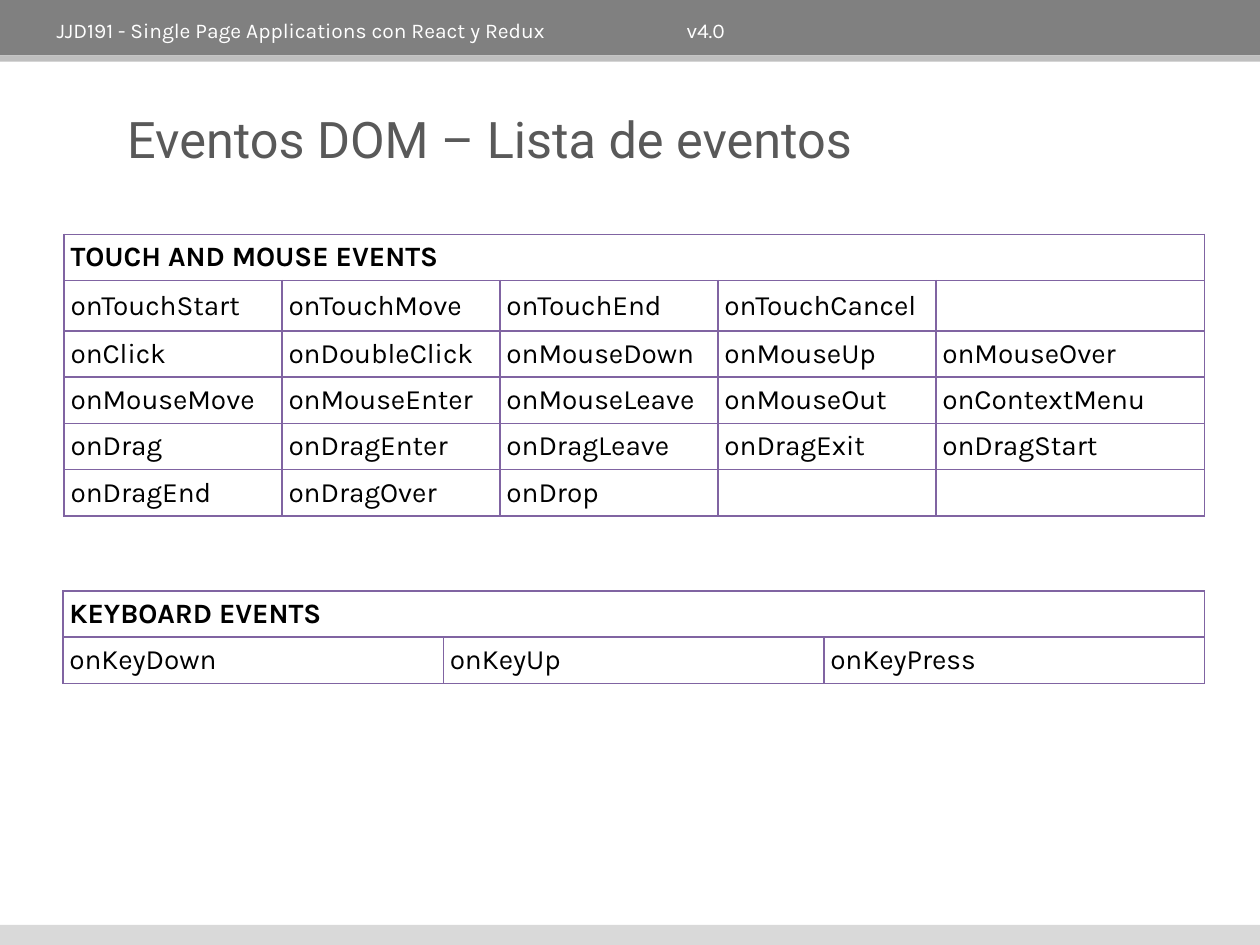
"""Builds the slide that lists the DOM events."""
import pptx
import pptx.util
import pptx.dml.color
import pptx.enum.shapes
import pptx.enum.text
import pptx.oxml
import pptx.oxml.ns

Inches = pptx.util.Inches
Anchor = pptx.enum.text.MSO_ANCHOR


def colour(value):
    return pptx.dml.color.RGBColor.from_string(value)


def write(frame, text, size=16, font="Karla", ink="000000", bold=False, anchor=Anchor.MIDDLE):
    frame.word_wrap = True
    frame.vertical_anchor = anchor
    paragraph = frame.paragraphs[0]
    paragraph.alignment = pptx.enum.text.PP_ALIGN.LEFT
    run = paragraph.add_run()
    run.text = text
    run.font.size = pptx.util.Pt(size)
    run.font.name = font
    run.font.bold = bold
    run.font.color.rgb = colour(ink)


deck = pptx.Presentation()
deck.slide_width, deck.slide_height = Inches(10), Inches(7.5)
slide = deck.slides.add_slide(deck.slide_layouts[5])

for top, height, shade in [(0, 0.44, "808080"), (0.44, 0.05, "BFBFBF"), (7.34, 0.16, "D9D9D9")]:
    band = slide.shapes.add_shape(
        pptx.enum.shapes.MSO_SHAPE.RECTANGLE, 0, Inches(top), deck.slide_width, Inches(height))
    band.shadow.inherit = False
    band.fill.solid()
    band.fill.fore_color.rgb = colour(shade)
    band.line.fill.background()

course = slide.shapes.add_textbox(Inches(0.35), Inches(0.09), Inches(8.45), Inches(0.31))
write(course.text_frame, "JJD191 - Single Page Applications con React y Redux \t\t\tv4.0",
      size=12, ink="FFFFFF", anchor=Anchor.TOP)

heading = slide.shapes.title
heading.left, heading.top = Inches(0.91), Inches(0.76)
heading.width, heading.height = Inches(6.47), Inches(0.68)
heading.text_frame.auto_size = pptx.enum.text.MSO_AUTO_SIZE.NONE
write(heading.text_frame, "Eventos DOM – Lista de eventos", size=28.8, font="Roboto", ink="595959")

pointer_events = [
    ["onTouchStart", "onTouchMove", "onTouchEnd", "onTouchCancel", ""],
    ["onClick", "onDoubleClick", "onMouseDown", "onMouseUp", "onMouseOver"],
    ["onMouseMove", "onMouseEnter", "onMouseLeave", "onMouseOut", "onContextMenu"],
    ["onDrag", "onDragEnter", "onDragLeave", "onDragExit", "onDragStart"],
    ["onDragEnd", "onDragOver", "onDrop", "", ""],
]
key_events = [["onKeyDown", "onKeyUp", "onKeyPress"]]
groups = [
    ("TOUCH AND MOUSE EVENTS", pointer_events, 0.51, 1.86,
     [1.73] * 4 + [2.13], [0.36, 0.4] + [0.36] * 4, Anchor.MIDDLE),
    ("KEYBOARD EVENTS", key_events, 0.5, 4.69, [3.02] * 3, [0.36] * 2, Anchor.BOTTOM),
]

for caption, events, left, top, widths, heights, anchor in groups:
    grid = slide.shapes.add_table(
        len(heights), len(widths), Inches(left), Inches(top),
        Inches(sum(widths)), Inches(sum(heights))).table
    grid.first_row = grid.horz_banding = False
    for column, width in zip(grid.columns, widths):
        column.width = Inches(width)
    for row, height in zip(grid.rows, heights):
        row.height = Inches(height)
    grid.cell(0, 0).merge(grid.cell(0, len(widths) - 1))

    captions = [caption] + [""] * (len(widths) - 1)
    for r, names in enumerate([captions] + events):
        for c, name in enumerate(names):
            cell = grid.cell(r, c)
            margin = Inches(0.05 if name else 0)
            cell.margin_left = cell.margin_right = margin
            cell.margin_top = cell.margin_bottom = margin
            cell.vertical_anchor = anchor
            cell.fill.background()
            if name:
                write(cell.text_frame, name, bold=r == 0, anchor=anchor)
            properties = cell._tc.get_or_add_tcPr()
            for position, side in enumerate(["lnL", "lnR", "lnT", "lnB"]):
                properties.insert(position, pptx.oxml.parse_xml(
                    f'<a:{side} {pptx.oxml.ns.nsdecls("a")} w="12700"><a:solidFill>'
                    f'<a:srgbClr val="8064A2"/></a:solidFill></a:{side}>'))

deck.save("out.pptx")
